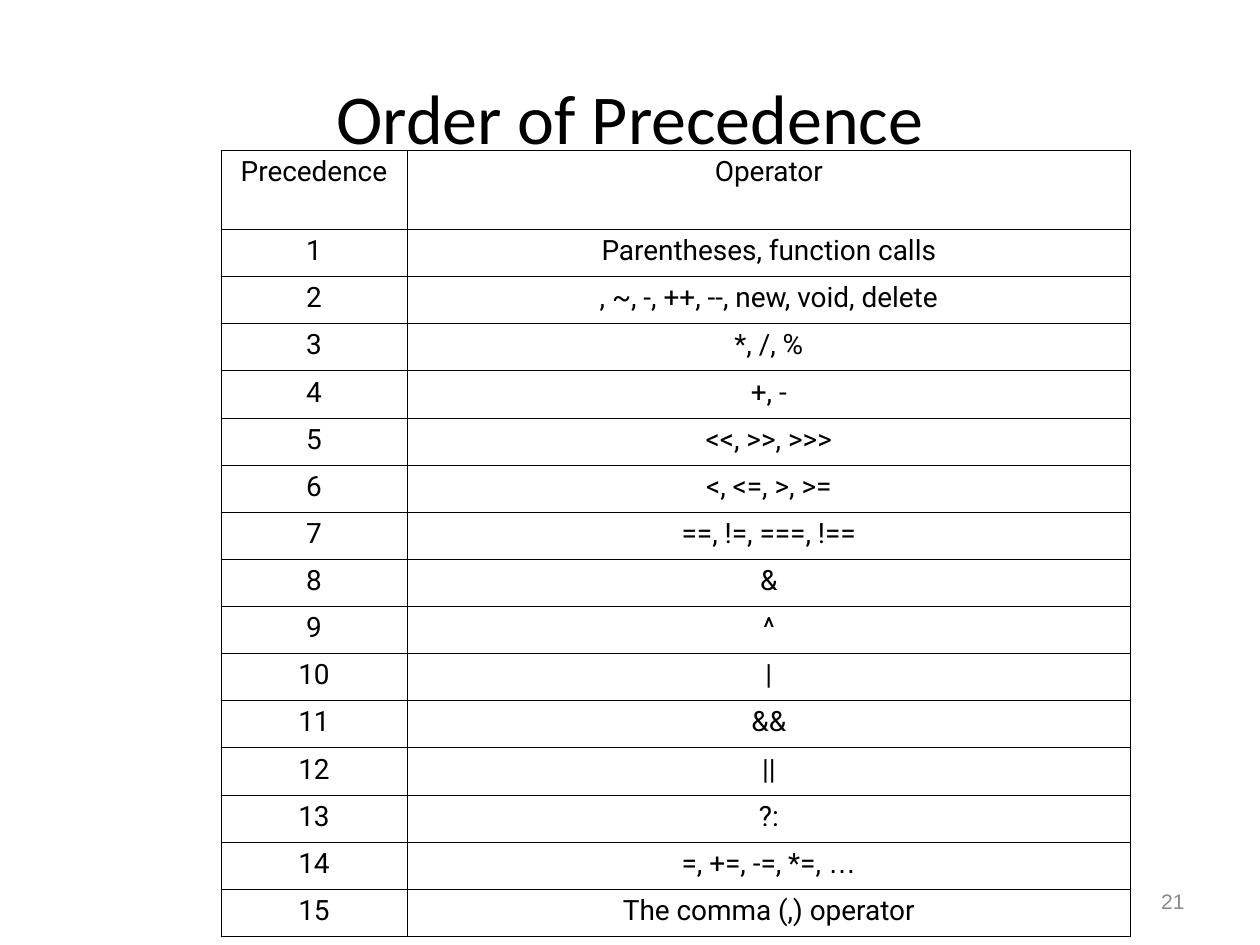
import lxml.etree
import pptx
import pptx.dml.color
import pptx.enum.text
import pptx.oxml.ns
import pptx.util

Cm = pptx.util.Cm
Pt = pptx.util.Pt
ALIGN = pptx.enum.text.PP_ALIGN
MIDDLE = pptx.enum.text.MSO_ANCHOR.MIDDLE

BLACK, GREY = "000000", "898989"
OUTER_LINE, INNER_LINE = 0.23, 0.11
HEADER_HEIGHT, ROW_HEIGHT = 1.6, 0.95
PRECEDENCE_SHARE = 0.205
OPERATORS = [
    "Parentheses, function calls",
    ", ~, -, ++, --, new, void, delete",
    "*, /, %",
    "+, -",
    "<<, >>, >>>",
    "<, <=, >, >=",
    "==, !=, ===, !==",
    "&",
    "^",
    "|",
    "&&",
    "||",
    "?:",
    "=, +=, -=, *=, …",
    "The comma (,) operator",
]


def rgb(color):
    return pptx.dml.color.RGBColor.from_string(color)


def style(paragraph, font, size, color, align):
    paragraph.font.name = font
    paragraph.font.size = Pt(size)
    paragraph.font.color.rgb = rgb(color)
    paragraph.alignment = align


def place(shape, box):
    shape.left, shape.top, shape.width, shape.height = map(Cm, box)


def add_title(slide, box):
    title = slide.shapes.title
    place(title, box)
    title.text_frame.text = "Order of Precedence"
    title.text_frame.vertical_anchor = MIDDLE
    style(title.text_frame.paragraphs[0], "Calibri", 40, BLACK, ALIGN.CENTER)


def add_page_number(slide, box):
    frame = slide.shapes.add_textbox(*map(Cm, box)).text_frame
    frame.word_wrap = True
    frame.vertical_anchor = MIDDLE
    frame.text = "21"
    style(frame.paragraphs[0], "Arial", 12, GREY, ALIGN.RIGHT)


def set_borders(cell, widths):
    """Draw black cell borders; widths in points, keyed L, R, T, B in that order."""
    properties = cell._tc.get_or_add_tcPr()
    for index, (side, width) in enumerate(widths.items()):
        line = lxml.etree.Element(
            pptx.oxml.ns.qn(f"a:ln{side}"), w=str(int(Pt(width))))
        fill = lxml.etree.SubElement(line, pptx.oxml.ns.qn("a:solidFill"))
        lxml.etree.SubElement(fill, pptx.oxml.ns.qn("a:srgbClr"), val=BLACK)
        properties.insert(index, line)


def fill_cell(cell, text):
    cell.fill.background()
    paragraph = cell.text_frame.paragraphs[0]
    style(paragraph, "Roboto", 16, BLACK, ALIGN.CENTER)
    paragraph.line_spacing = 0.96
    paragraph.space_before = Pt(4)
    operators, ellipsis, _ = text.partition("…")
    paragraph.add_run().text = operators
    if ellipsis:
        ellipsis_run = paragraph.add_run()
        ellipsis_run.text = ellipsis
        ellipsis_run.font.name = "Arial"


def add_precedence_table(slide, left, top, width):
    rows = [("Precedence", "Operator")]
    rows += [(str(rank), text) for rank, text in enumerate(OPERATORS, 1)]
    last_row = len(rows) - 1
    height = HEADER_HEIGHT + ROW_HEIGHT * last_row
    table = slide.shapes.add_table(
        len(rows), 2, Cm(left), Cm(top), Cm(width), Cm(height)).table
    table.first_row = table.horz_banding = False
    table.columns[0].width = Cm(width * PRECEDENCE_SHARE)
    table.columns[1].width = Cm(width * (1 - PRECEDENCE_SHARE))

    for r, texts in enumerate(rows):
        table.rows[r].height = Cm(ROW_HEIGHT if r else HEADER_HEIGHT)
        for c, text in enumerate(texts):
            cell = table.cell(r, c)
            cell.margin_left = cell.margin_right = Cm(0.25)
            cell.margin_top = cell.margin_bottom = Cm(0.13)
            fill_cell(cell, text)
            on_edge = {"L": c == 0, "R": c == 1, "T": r == 0, "B": r == last_row}
            set_borders(cell, {side: OUTER_LINE if outer else INNER_LINE
                               for side, outer in on_edge.items()})


def main():
    presentation = pptx.Presentation()
    presentation.slide_width, presentation.slide_height = Cm(25.4), Cm(19.05)
    slide = presentation.slides.add_slide(presentation.slide_layouts[5])
    add_page_number(slide, (18.2, 17.66, 5.93, 1.01))
    add_title(slide, (1.27, 0.76, 22.86, 3.18))
    add_precedence_table(slide, 4.45, 3.02, 18.34)
    presentation.save("out.pptx")


if __name__ == "__main__":
    main()
